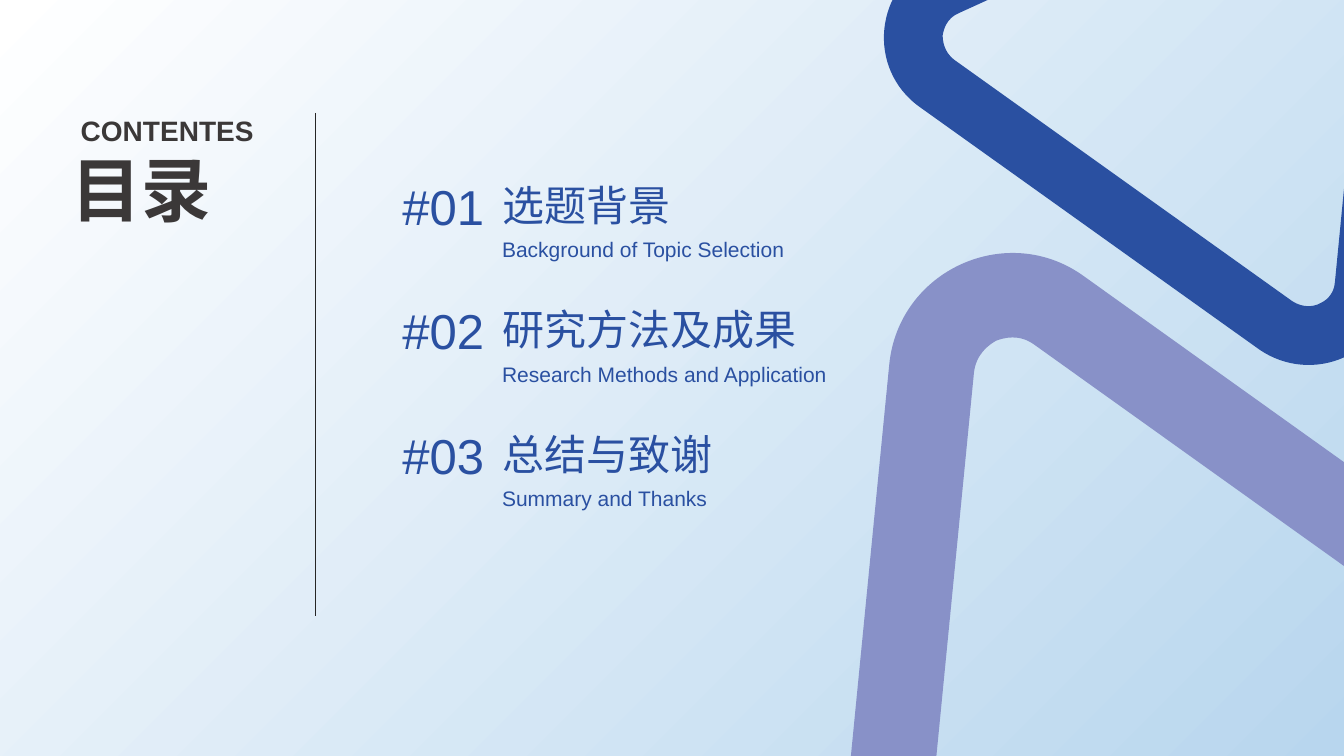
from itertools import chain

from lxml.etree import SubElement
from pptx import Presentation
from pptx.dml.color import RGBColor
from pptx.enum.shapes import MSO_CONNECTOR, MSO_SHAPE
from pptx.oxml.ns import qn
from pptx.util import Inches, Pt

WHITE = RGBColor(0xFF, 0xFF, 0xFF)
SKY = RGBColor(0xB8, 0xD6, 0xEE)
BLUE = RGBColor(0x2A, 0x50, 0xA1)
LILAC = RGBColor(0x88, 0x91, 0xC8)
DARK = RGBColor(0x3B, 0x38, 0x38)
INK = RGBColor(0x26, 0x26, 0x26)

WIDE, HIGH = 13.33, 7.5
PITCH = 2.47 / 2
TOPICS = [
    ("选题背景", "Background of Topic Selection"),
    ("研究方法及成果", "Research Methods and Application"),
    ("总结与致谢", "Summary and Thanks"),
]

# Each ring has an outer and an inner outline. A step with one point is a
# straight side; a step with three points is a Bezier corner.
BLUE_RING = [
    [[(13.83, 2.85)], [(14.23, -1.26)],
     [(14.26, -1.58), (14.11, -1.86), (13.87, -2.03)],
     [(13.64, -2.2), (13.32, -2.25), (13.02, -2.12)],
     [(9.27, -0.41)], [(8.67, -0.13), (8.59, 0.68), (9.12, 1.06)],
     [(12.48, 3.46)], [(13.02, 3.84), (13.76, 3.51), (13.83, 2.85)]],
    [[(13.09, 3.01)], [(13.04, 3.04), (12.93, 3.06), (12.82, 2.99)],
     [(9.46, 0.59)], [(9.36, 0.51), (9.35, 0.4), (9.35, 0.35)],
     [(9.36, 0.29), (9.39, 0.18), (9.51, 0.13)],
     [(13.27, -1.58)], [(13.39, -1.64), (13.49, -1.59), (13.53, -1.56)],
     [(13.58, -1.52), (13.66, -1.45), (13.64, -1.31)],
     [(13.24, 2.8)], [(13.23, 2.93), (13.14, 2.99), (13.09, 3.01)]],
]
LILAC_RING = [
    [[(8.82, 3.62)], [(8.24, 9.54)],
     [(8.2, 10.01), (8.42, 10.41), (8.75, 10.65)],
     [(9.09, 10.89), (9.54, 10.97), (9.97, 10.77)],
     [(15.39, 8.31)], [(16.25, 7.92), (16.36, 6.75), (15.59, 6.2)],
     [(10.75, 2.74)], [(9.99, 2.19), (8.91, 2.68), (8.82, 3.62)]],
    [[(9.88, 3.38)], [(9.96, 3.35), (10.11, 3.31), (10.26, 3.42)],
     [(15.1, 6.88)], [(15.26, 6.99), (15.27, 7.15), (15.26, 7.23)],
     [(15.25, 7.31), (15.21, 7.46), (15.04, 7.54)],
     [(9.62, 10)], [(9.45, 10.09), (9.31, 10.01), (9.24, 9.97)],
     [(9.18, 9.92), (9.06, 9.81), (9.08, 9.62)],
     [(9.66, 3.7)], [(9.68, 3.51), (9.81, 3.42), (9.88, 3.38)]],
]


def bend(shape, outlines):
    """Merge the three lines of each corner into one Bezier curve."""
    lines = iter(list(shape._element.iter(qn("a:lnTo"))))
    for step in chain.from_iterable(steps[1:] for steps in outlines):
        parts = [next(lines) for _ in step]
        if len(parts) == 3:
            corner = SubElement(parts[0].getparent(), qn("a:cubicBezTo"))
            parts[0].addprevious(corner)
            for part in parts:
                corner.append(part[0])
                part.getparent().remove(part)


class Deck:
    """Holds the font and the current slide."""

    def __init__(self, font):
        self.font = font
        self.show = Presentation()
        self.show.slide_width = Inches(WIDE)
        self.show.slide_height = Inches(HIGH)
        self.slide = self.show.slides.add_slide(self.show.slide_layouts[6])

    def backdrop(self, base, start, end):
        fill = self.slide.background.fill
        fill.solid()
        fill.fore_color.rgb = base
        rect = self.slide.shapes.add_shape(
            MSO_SHAPE.RECTANGLE, 0, 0, Inches(WIDE), Inches(HIGH))
        rect.shadow.inherit = False
        rect.line.fill.background()
        rect.fill.gradient()
        rect.fill.gradient_angle = 315
        for stop, color, place in zip(rect.fill.gradient_stops, (start, end), (0, 1)):
            stop.color.rgb = color
            stop.position = place

    def ring(self, group, outlines, color):
        pen = None
        for steps in outlines:
            first, *rest = [(Inches(x), Inches(y))
                            for x, y in chain.from_iterable(steps)]
            if pen is None:
                pen = group.shapes.build_freeform(*first)
            else:
                pen.move_to(*first)
            pen.add_line_segments(rest, close=True)
        shape = pen.convert_to_shape()
        bend(shape, outlines)
        shape.shadow.inherit = False
        shape.fill.solid()
        shape.fill.fore_color.rgb = color
        shape.line.fill.background()

    def text(self, words, *, left, top, width, height, size, color=BLUE, bold=False):
        box = self.slide.shapes.add_textbox(
            Inches(left), Inches(top), Inches(width), Inches(height))
        frame = box.text_frame
        frame.word_wrap = False
        frame.margin_left = frame.margin_right = 0
        frame.margin_top = frame.margin_bottom = 0
        run = frame.paragraphs[0].add_run()
        run.text = words
        run.font.name = self.font
        run.font.size = Pt(size)
        run.font.bold = bold
        run.font.color.rgb = color

    def rule(self, left, top, bottom, color, weight):
        line = self.slide.shapes.add_connector(
            MSO_CONNECTOR.STRAIGHT, Inches(left), Inches(top),
            Inches(left), Inches(bottom))
        line.line.color.rgb = color
        line.line.width = Pt(weight)
        SubElement(line._element.spPr, qn("a:effectLst"))


def main():
    deck = Deck("Arial")
    deck.backdrop(BLUE, WHITE, SKY)
    rings = deck.slide.shapes.add_group_shape()
    deck.ring(rings, BLUE_RING, BLUE)
    deck.ring(rings, LILAC_RING, LILAC)

    for i, (title, note) in enumerate(TOPICS):
        drop = i * PITCH
        deck.text(title, left=4.98, top=1.78 + drop, width=3.37, height=0.5, size=30)
        deck.text(note, left=4.98, top=2.35 + drop, width=4.2, height=0.25, size=15)
        deck.text(f"#{i + 1:02}", left=3.99, top=1.75 + drop, width=0.82,
                  height=0.55, size=35)

    deck.text("目录", left=0.71, top=1.45, width=1.41, height=0.84,
              size=50, color=DARK, bold=True)
    deck.text("CONTENTES", left=0.8, top=1.13, width=1.73, height=0.34,
              size=20, color=DARK, bold=True)
    deck.rule(3.13, 1.12, 6.11, INK, 0.5)
    deck.show.save("out.pptx")


if __name__ == "__main__":
    main()
